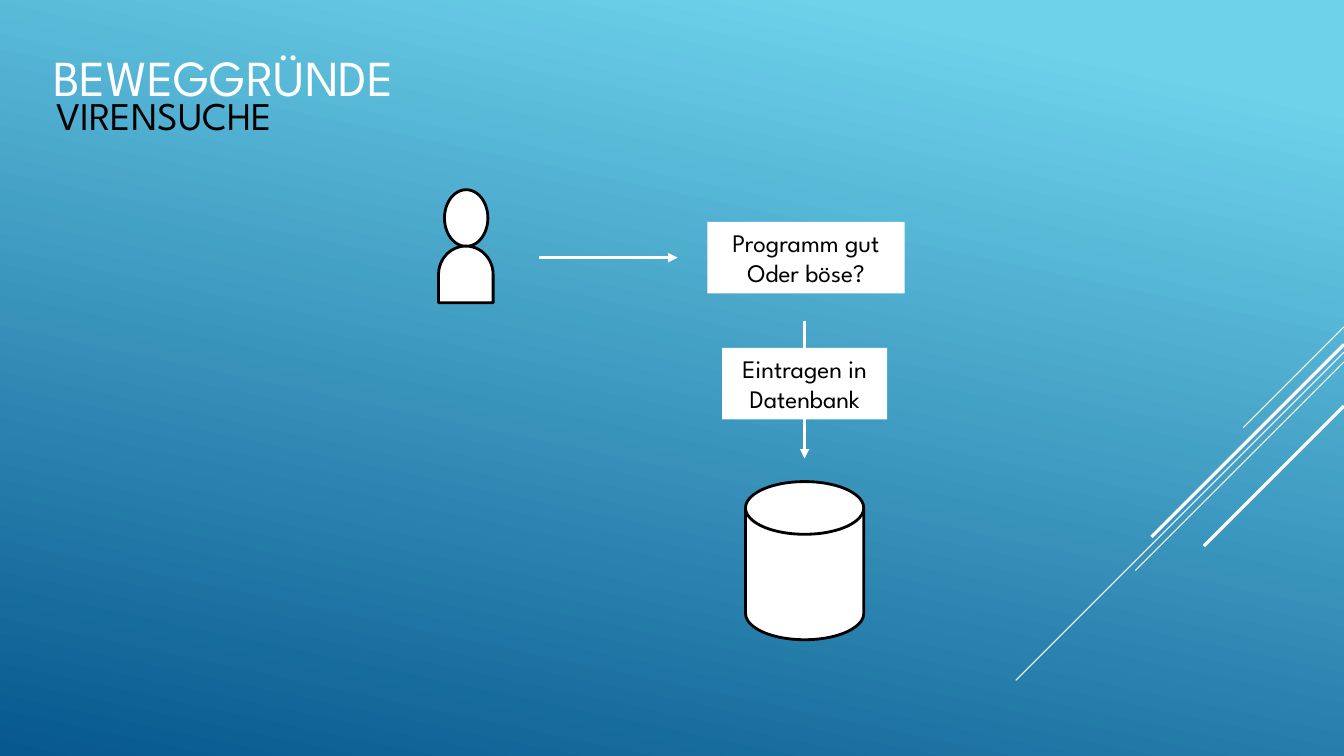
"""Build the slide on the motives for a virus scan."""
import pptx
import pptx.dml.color
import pptx.enum.shapes
import pptx.enum.text
import pptx.oxml
import pptx.oxml.ns
import pptx.util

Pt = pptx.util.Pt
RGBColor = pptx.dml.color.RGBColor
SHAPES = pptx.enum.shapes.MSO_SHAPE
ALIGN = pptx.enum.text.PP_ALIGN
WHITE = RGBColor(0xFF, 0xFF, 0xFF)
BLACK = RGBColor(0x00, 0x00, 0x00)
SKY = RGBColor(0x6E, 0xD2, 0xEB)
OCEAN = RGBColor(0x06, 0x58, 0x8E)
WIDTH, HEIGHT = 960, 540


def apply(target, values):
    for name, value in values.items():
        setattr(target, name, value)


def drawing_element(tag, attributes=""):
    return pptx.oxml.parse_xml(f'<a:{tag} {pptx.oxml.ns.nsdecls("a")} {attributes}/>')


class SlideBuilder:
    font = "League Spartan"
    outline = 2

    def __init__(self, slide):
        self.slide = slide

    def background(self, stops, angle):
        fill = self.slide.background.fill
        fill.gradient()
        fill.gradient_angle = angle
        for stop, (position, color) in zip(fill.gradient_stops, stops):
            stop.position = position
            stop.color.rgb = color

    def line(self, start, end, weight, arrow=False):
        connector = self.slide.shapes.add_connector(
            pptx.enum.shapes.MSO_CONNECTOR.STRAIGHT, *map(Pt, start + end))
        connector.line.width = Pt(weight)
        connector.line.color.rgb = WHITE
        properties = connector._element.spPr
        if arrow:
            properties.find(pptx.oxml.ns.qn("a:ln")).append(
                drawing_element("tailEnd", 'type="triangle"'))
        properties.append(drawing_element("effectLst"))

    def text(self, shape, lines, size, color, align, wrap):
        frame = shape.text_frame
        apply(frame, {"word_wrap": wrap, "text": "\n".join(lines),
                      "vertical_anchor": pptx.enum.text.MSO_ANCHOR.MIDDLE})
        for paragraph in frame.paragraphs:
            paragraph.alignment = align
            for run in paragraph.runs:
                apply(run.font, {"name": self.font, "size": Pt(size)})
                run.font.color.rgb = color

    def heading(self, text, bounds, size, color):
        shape = self.slide.shapes.add_textbox(*map(Pt, bounds))
        self.text(shape, [text], size, color, ALIGN.LEFT, True)

    def shape(self, kind, bounds, outlined=True, rotation=0):
        shape = self.slide.shapes.add_shape(kind, *map(Pt, bounds))
        shape.rotation = rotation
        shape.shadow.inherit = False
        shape.fill.solid()
        shape.fill.fore_color.rgb = WHITE
        if outlined:
            shape.line.width = Pt(self.outline)
            shape.line.color.rgb = BLACK
        else:
            shape.line.fill.background()
        return shape

    def label(self, lines, bounds):
        shape = self.shape(SHAPES.RECTANGLE, bounds, outlined=False)
        self.text(shape, lines, 18, BLACK, ALIGN.CENTER, False)


def main():
    presentation = pptx.Presentation()
    apply(presentation, {"slide_width": Pt(WIDTH), "slide_height": Pt(HEIGHT)})
    builder = SlideBuilder(presentation.slides.add_slide(presentation.slide_layouts[6]))
    builder.background([(0.1, SKY), (1, OCEAN)], 258)

    for top, run, weight in [(233.5, 72, 0.75), (251.5, 234.5, 0.75), (258.5, 149, 0.75),
                             (246, 137.5, 2.25), (290, 100, 2.25)]:
        builder.line((WIDTH, top), (WIDTH - run, top + run), weight)

    builder.heading("BEWEGGRÜNDE", (31, 28, 672, 53), 36, WHITE)
    builder.heading("VIRENSUCHE", (33, 65.5, 310, 32.5), 28, BLACK)

    builder.shape(SHAPES.OVAL, (317.5, 135.5, 31, 40.5))
    builder.shape(SHAPES.FLOWCHART_DELAY, (312.5, 176.5, 40.5, 39), rotation=270)
    builder.shape(SHAPES.FLOWCHART_MAGNETIC_DISK, (532.5, 344, 84.5, 113))

    builder.line((574.75, 229), (574.75, 327.5), 2.25, arrow=True)
    builder.label(["Eintragen in", "Datenbank"], (515.75, 248.5, 118, 51))
    builder.line((385, 184), (484, 184), 2.25, arrow=True)
    builder.label(["Programm gut", "Oder böse?"], (505.25, 158.5, 141, 51))

    presentation.save("out.pptx")


if __name__ == "__main__":
    main()
